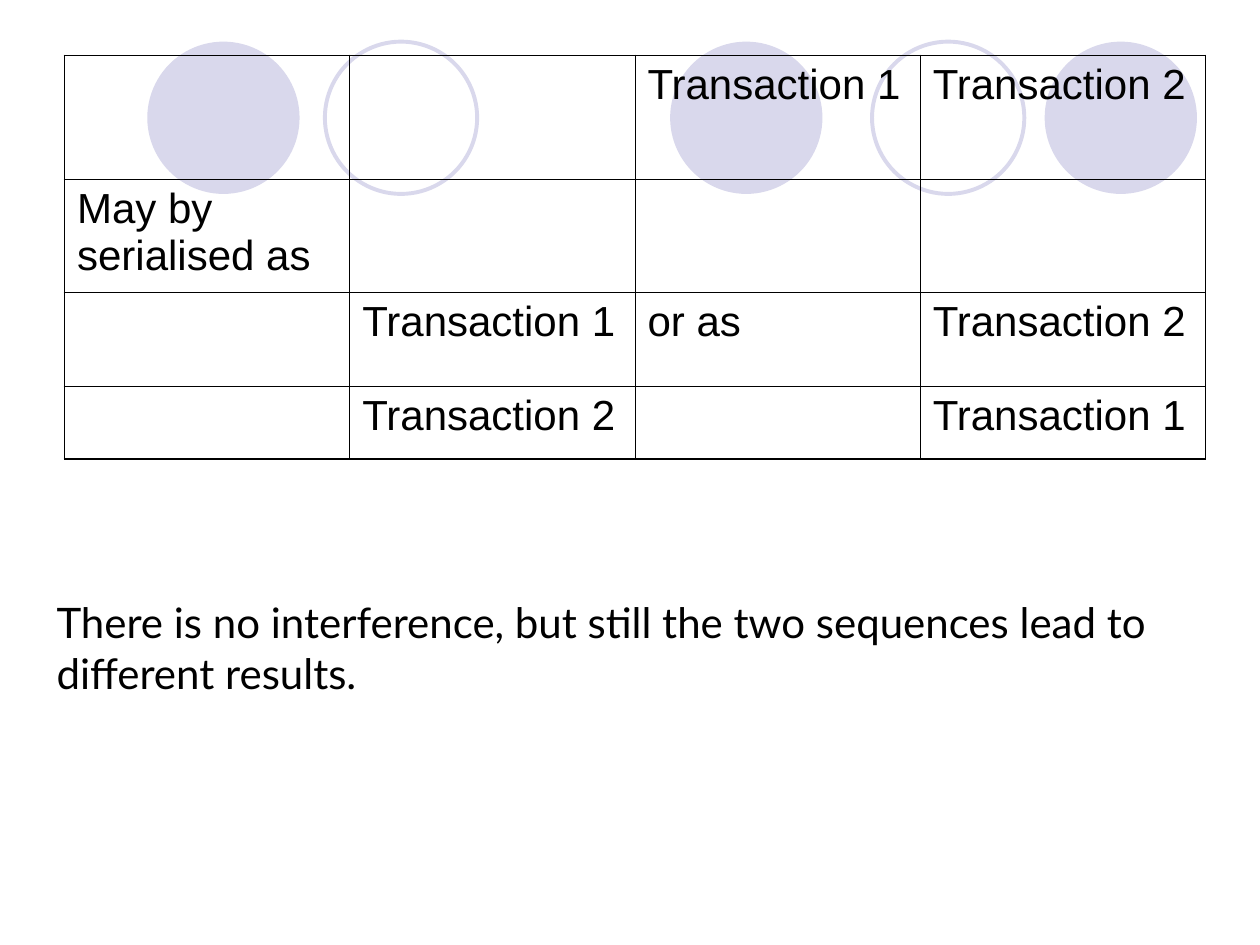
from lxml.etree import SubElement
from pptx import Presentation
from pptx.dml.color import RGBColor
from pptx.enum.shapes import MSO_SHAPE
from pptx.oxml.ns import qn
from pptx.util import Cm, Pt

COLOURS = {"text": "000000", "border": "000000", "circle": "D9D8EC"}
OUTER_BORDER, INNER_BORDER = 1.08, 0.45
CIRCLE_TOP, CIRCLE_SIZE = 0.84, 3.07
FILLED_CIRCLES = [13.51, 21.06, 2.97]
OUTLINED_CIRCLES = [17.58, 6.55]
COLUMN_WIDTH = 5.75
ROW_HEIGHTS = [2.49, 2.29, 1.88, 1.47]
SCHEDULE = [
    ["", "", "Transaction 1", "Transaction 2"],
    ["May by serialised as", "", "", ""],
    ["", "Transaction 1", "or as", "Transaction 2"],
    ["", "Transaction 2", "", "Transaction 1"],
]
CONCLUSION = (
    "There is no interference, but still the two sequences "
    "lead to different results."
)


class SlideBuilder:
    """Draws styled elements on the current slide."""

    def __init__(self, slide, colours):
        self.slide = slide
        self.colours = {name: RGBColor.from_string(h) for name, h in colours.items()}

    def set_text(self, frame, text, font_name):
        paragraph = frame.paragraphs[0]
        paragraph.text = text
        paragraph.font.name = font_name
        paragraph.font.size = Pt(24)
        paragraph.font.color.rgb = self.colours["text"]

    def circle(self, left, filled):
        circle = self.slide.shapes.add_shape(
            MSO_SHAPE.OVAL, Cm(left), Cm(CIRCLE_TOP), Cm(CIRCLE_SIZE), Cm(CIRCLE_SIZE)
        )
        circle.shadow.inherit = False
        if filled:
            circle.fill.solid()
            circle.fill.fore_color.rgb = self.colours["circle"]
            circle.line.fill.background()
        else:
            circle.fill.background()
            circle.line.color.rgb = self.colours["circle"]
            circle.line.width = Pt(2.25)

    def borders(self, cell, outer_sides):
        properties = cell._tc.get_or_add_tcPr()
        for side in "LRTB":
            width = OUTER_BORDER if outer_sides[side] else INNER_BORDER
            line = SubElement(properties, qn(f"a:ln{side}"), w=str(Pt(width)))
            fill = SubElement(line, qn("a:solidFill"))
            SubElement(fill, qn("a:srgbClr"), val=str(self.colours["border"]))

    def table(self, left, top, rows, heights, column_width):
        row_count, column_count = len(rows), len(rows[0])
        table = self.slide.shapes.add_table(
            row_count, column_count, Cm(left), Cm(top),
            Cm(column_width * column_count), Cm(sum(heights)),
        ).table
        table.first_row = table.horz_banding = False
        for column in table.columns:
            column.width = Cm(column_width)
        for r, (texts, height) in enumerate(zip(rows, heights)):
            table.rows[r].height = Cm(height)
            for c, text in enumerate(texts):
                cell = table.cell(r, c)
                self.borders(cell, {
                    "L": c == 0, "R": c == column_count - 1,
                    "T": r == 0, "B": r == row_count - 1,
                })
                cell.fill.background()
                if text:
                    self.set_text(cell.text_frame, text, "Arial")

    def text(self, left, top, width, height, text):
        frame = self.slide.shapes.add_textbox(
            Cm(left), Cm(top), Cm(width), Cm(height)
        ).text_frame
        frame.word_wrap = True
        self.set_text(frame, text, "Lato")


def main():
    presentation = Presentation()
    presentation.slide_width, presentation.slide_height = Cm(25.4), Cm(19.05)
    slide = presentation.slides.add_slide(presentation.slide_layouts[6])
    builder = SlideBuilder(slide, COLOURS)
    for left in FILLED_CIRCLES:
        builder.circle(left, filled=True)
    for left in OUTLINED_CIRCLES:
        builder.circle(left, filled=False)
    builder.table(1.3, 1.12, SCHEDULE, ROW_HEIGHTS, COLUMN_WIDTH)
    builder.text(0.89, 11.91, 23.8, 2.29, CONCLUSION)
    presentation.save("out.pptx")


if __name__ == "__main__":
    main()
